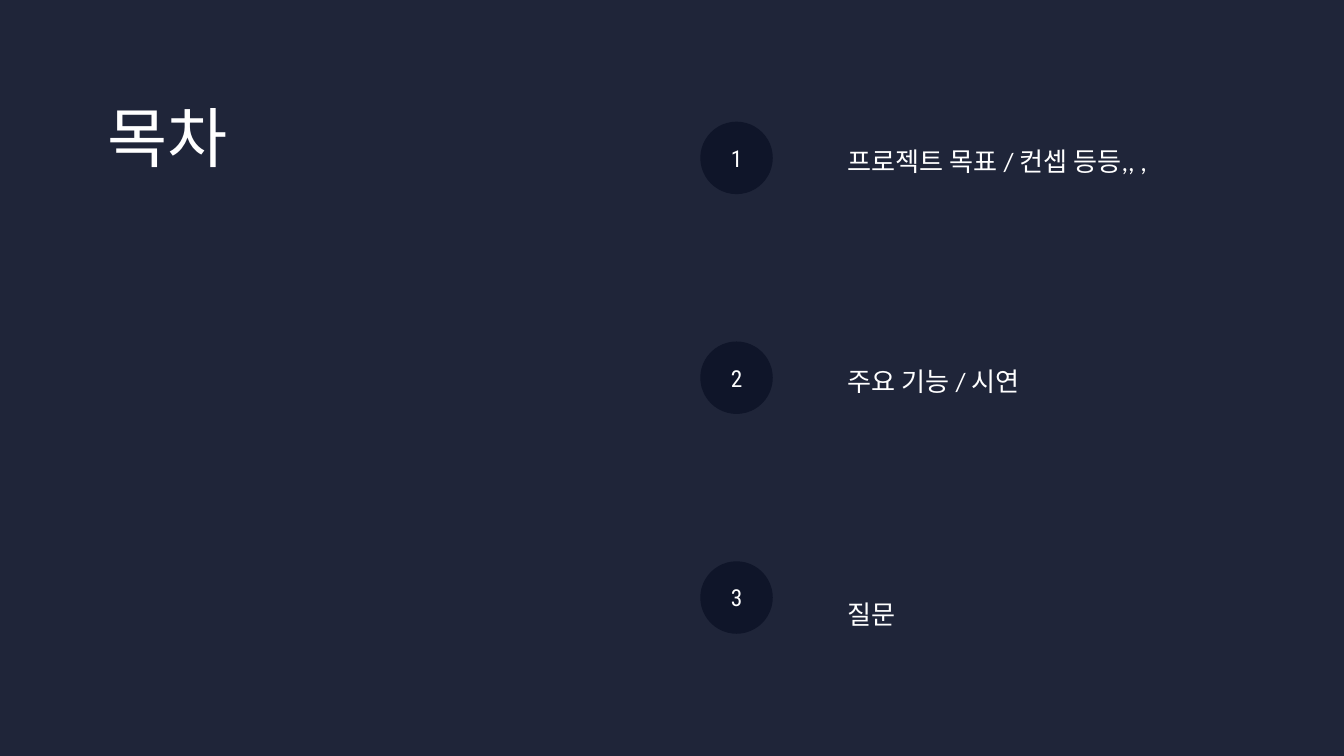
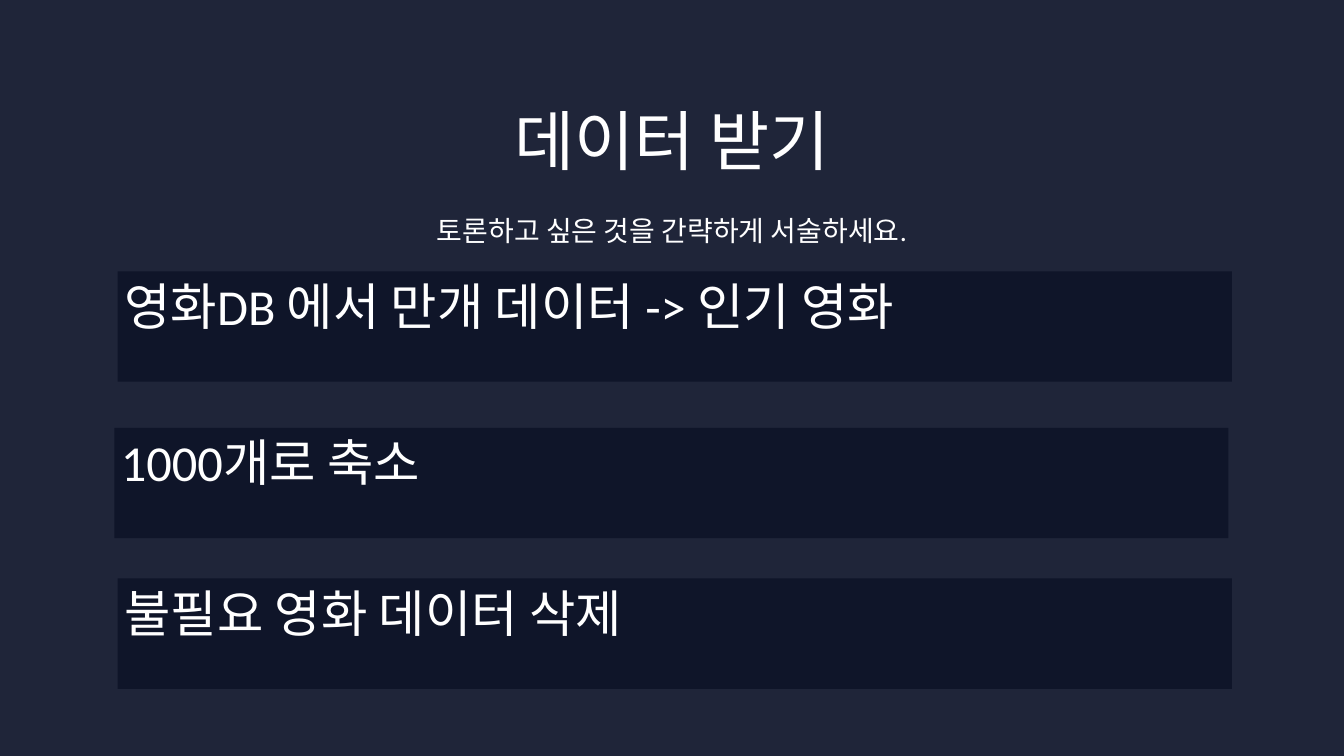
from pptx import Presentation
from pptx.dml.color import RGBColor
from pptx.enum.shapes import MSO_SHAPE
from pptx.enum.text import MSO_ANCHOR, MSO_AUTO_SIZE, PP_ALIGN
from pptx.util import Cm, Pt

BACKGROUND = "1F2539"
PANEL = "0F1529"
WHITE = "FFFFFF"
BODY_FONT = "Calibri"
NUMBER_FONT = "Roboto Condensed"
TITLE_ONLY = 5


def set_fill(fill, color):
    """Fill with one solid hex colour."""
    fill.solid()
    fill.fore_color.rgb = RGBColor.from_string(color)


def write_text(shape, text, size, font=BODY_FONT, color=WHITE, align=PP_ALIGN.LEFT,
               spacing=None, anchor=MSO_ANCHOR.TOP, margins=(0, 0), grow=False):
    """Write one formatted paragraph; margins are side and top in cm."""
    frame = shape.text_frame
    frame.word_wrap = True
    frame.auto_size = MSO_AUTO_SIZE.SHAPE_TO_FIT_TEXT if grow else MSO_AUTO_SIZE.NONE
    frame.vertical_anchor = anchor
    side, top = margins
    frame.margin_left = frame.margin_right = Cm(side)
    frame.margin_top = frame.margin_bottom = Cm(top)
    paragraph = frame.paragraphs[0]
    paragraph.alignment = align
    if spacing:
        paragraph.line_spacing = Pt(spacing)
    run = paragraph.add_run()
    run.text = text
    run.font.size = Pt(size)
    run.font.name = font
    run.font.color.rgb = RGBColor.from_string(color)


def add_panel(slide, kind, left, top, width, height):
    """Add a dark preset shape without outline or shadow."""
    shape = slide.shapes.add_shape(kind, Cm(left), Cm(top), Cm(width), Cm(height))
    shape.shadow.inherit = False
    set_fill(shape.fill, PANEL)
    shape.line.fill.background()
    return shape


def add_label(slide, text, left, top, width, height, **text_format):
    """Add a text box that grows with its text."""
    box = slide.shapes.add_textbox(Cm(left), Cm(top), Cm(width), Cm(height))
    write_text(box, text, grow=True, **text_format)


def add_titled_slide(presentation, text, left, top, width, align=PP_ALIGN.LEFT):
    """Add a title-only slide and place its title."""
    slide = presentation.slides.add_slide(presentation.slide_layouts[TITLE_ONLY])
    title = slide.shapes.title
    title.left, title.top, title.width, title.height = Cm(left), Cm(top), Cm(width), Cm(2.98)
    write_text(title, text, 70, align=align, spacing=84, grow=True)
    return slide


def add_agenda_item(slide, left, top, number, text, label_drop):
    """Add a numbered circle with its label to the right."""
    circle = add_panel(slide, MSO_SHAPE.OVAL, left, top, 2.74, 2.74)
    write_text(circle, str(number), 25, font=NUMBER_FONT, align=PP_ALIGN.CENTER,
               spacing=30, anchor=MSO_ANCHOR.MIDDLE)
    add_label(slide, text, left + 5.58, top + label_drop, 12.19, 1.3, size=28, spacing=39.2)


def add_step_bar(slide, left, top, text):
    """Add a wide bar with a step written at its top left."""
    bar = add_panel(slide, MSO_SHAPE.RECTANGLE, left, top, 42.11, 4.17)
    write_text(bar, text, 54, margins=(0.25, 0.13))


def build_agenda(presentation):
    """Build the table of contents."""
    slide = add_titled_slide(presentation, "목차", 4.06, 3.66, 15.16)
    items = [("프로젝트 목표 / 컨셉 등등,, ,", 0.7),
             ("주요 기능 / 시연", 0.7),
             ("질문", 1.2)]
    for index, (text, label_drop) in enumerate(items):
        add_agenda_item(slide, 26.47, 4.6 + 8.31 * index, index + 1, text, label_drop)


def build_data_steps(presentation):
    """Build the data collection steps."""
    slide = add_titled_slide(presentation, "데이터 받기", 7.77, 3.78, 35.26, PP_ALIGN.CENTER)
    add_label(slide, "토론하고 싶은 것을 간략하게 서술하세요.", 10.59, 7.85, 29.62, 1.45,
              size=30, align=PP_ALIGN.CENTER, spacing=42)
    steps = [(4.45, 10.26, "영화DB 에서 만개 데이터 -> 인기 영화"),
             (4.32, 16.18, "1000개로 축소"),
             (4.45, 21.87, "불필요 영화 데이터 삭제")]
    for left, top, text in steps:
        add_step_bar(slide, left, top, text)


def main():
    """Build and save the presentation."""
    presentation = Presentation()
    presentation.slide_width = Cm(50.8)
    presentation.slide_height = Cm(28.58)
    set_fill(presentation.slide_master.background.fill, BACKGROUND)
    build_agenda(presentation)
    build_data_steps(presentation)
    presentation.save("out.pptx")


if __name__ == "__main__":
    main()
